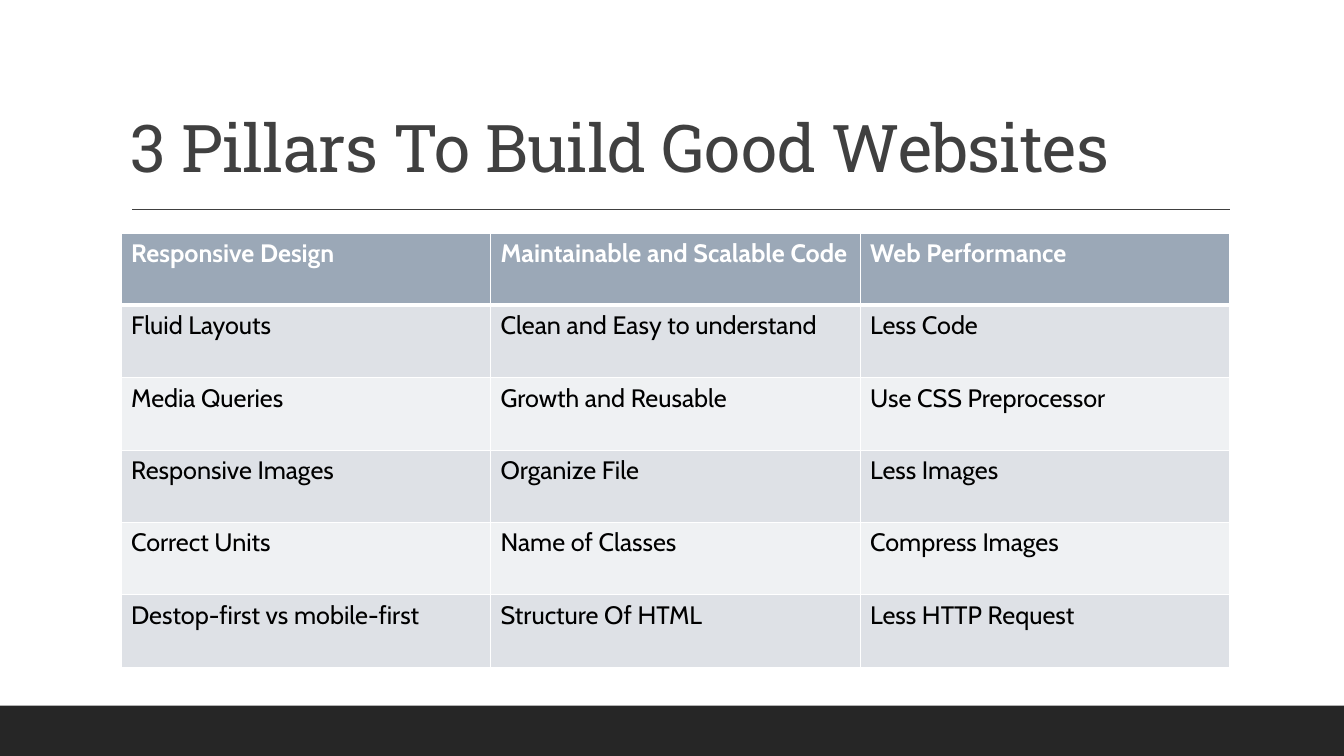
from lxml import etree
from pptx import Presentation
from pptx import util as u
from pptx.dml.color import RGBColor
from pptx.enum import shapes, text
from pptx.oxml.ns import qn

WHITE = RGBColor(0xFF, 0xFF, 0xFF)
BLACK = RGBColor(0x00, 0x00, 0x00)
CHARCOAL = RGBColor(0x26, 0x26, 0x26)
DARK_GREY = RGBColor(0x40, 0x40, 0x40)
HEADER_BLUE = RGBColor(0x9B, 0xA8, 0xB7)
BANDS = (RGBColor(0xDE, 0xE1, 0xE6), RGBColor(0xEF, 0xF1, 0xF3))

SLIDE_WIDTH, SLIDE_HEIGHT = u.Cm(33.87), u.Cm(19.05)
LEFT, CONTENT_WIDTH = u.Cm(3.05), u.Cm(27.94)

PILLARS = [
    ("Responsive Design", "Maintainable and Scalable Code", "Web Performance"),
    ("Fluid Layouts", "Clean and Easy to understand", "Less Code"),
    ("Media Queries", "Growth and Reusable", "Use CSS Preprocessor"),
    ("Responsive Images", "Organize File", "Less Images"),
    ("Correct Units", "Name of Classes", "Compress Images"),
    ("Destop-first vs mobile-first", "Structure Of HTML", "Less HTTP Request"),
]


def style_text(paragraph, font_name, size, color, bold=False):
    for run in paragraph.runs:
        run.font.name = font_name
        run.font.size = u.Pt(size)
        run.font.bold = bold
        run.font.color.rgb = color


def add_footer_band(slide):
    height = u.Cm(1.27)
    band = slide.shapes.add_shape(
        shapes.MSO_SHAPE.RECTANGLE, 0, SLIDE_HEIGHT - height, SLIDE_WIDTH, height)
    band.shadow.inherit = False
    band.fill.solid()
    band.fill.fore_color.rgb = CHARCOAL
    band.line.fill.background()


def add_title_rule(slide):
    y = u.Cm(5.28)
    rule = slide.shapes.add_connector(
        shapes.MSO_CONNECTOR.STRAIGHT, u.Cm(3.33), y, u.Cm(31), y)
    rule.line.color.rgb = DARK_GREY
    rule.line.width = u.Pt(1)
    etree.SubElement(rule._element.spPr, qn("a:effectLst"))


def add_title(slide, wording):
    title = slide.shapes.add_textbox(LEFT, u.Cm(0.79), CONTENT_WIDTH, u.Cm(4.04))
    frame = title.text_frame
    frame.word_wrap = True
    frame.vertical_anchor = text.MSO_ANCHOR.BOTTOM
    frame.text = wording
    heading = frame.paragraphs[0]
    heading.line_spacing = 0.9
    style_text(heading, "Roboto Slab", 47, DARK_GREY)
    heading.runs[0]._r.get_or_add_rPr().set("spc", "-50")


def add_borders(cell, widths):
    """Draw white cell borders; widths maps an edge tag to points."""
    properties = cell._tc.get_or_add_tcPr()
    for edge, width in widths.items():
        border = etree.SubElement(properties, qn(f"a:{edge}"), w=str(u.Pt(width)))
        fill = etree.SubElement(border, qn("a:solidFill"))
        etree.SubElement(fill, qn("a:srgbClr"), val=str(WHITE))


def add_pillar_table(slide, rows):
    columns = len(rows[0])
    table = slide.shapes.add_table(
        len(rows), columns, LEFT, u.Cm(5.87), CONTENT_WIDTH, u.Cm(10.95)).table
    for row_index, row in enumerate(rows):
        is_header = row_index == 0
        fill = HEADER_BLUE if is_header else BANDS[(row_index - 1) % 2]
        borders = {"lnL": 1, "lnR": 1,
                   "lnT": 3 if row_index == 1 else 1,
                   "lnB": 3 if is_header else 1}
        for column_index, wording in enumerate(row):
            cell = table.cell(row_index, column_index)
            cell.text_frame.text = wording
            style_text(cell.text_frame.paragraphs[0], "Cabin", 18,
                       WHITE if is_header else BLACK, is_header)
            add_borders(cell, borders)
            cell.fill.solid()
            cell.fill.fore_color.rgb = fill


def main():
    presentation = Presentation()
    presentation.slide_width = SLIDE_WIDTH
    presentation.slide_height = SLIDE_HEIGHT
    slide = presentation.slides.add_slide(presentation.slide_layouts[6])
    add_footer_band(slide)
    add_title_rule(slide)
    add_title(slide, "3 Pillars To Build Good Websites")
    add_pillar_table(slide, PILLARS)
    presentation.save("out.pptx")


if __name__ == "__main__":
    main()
